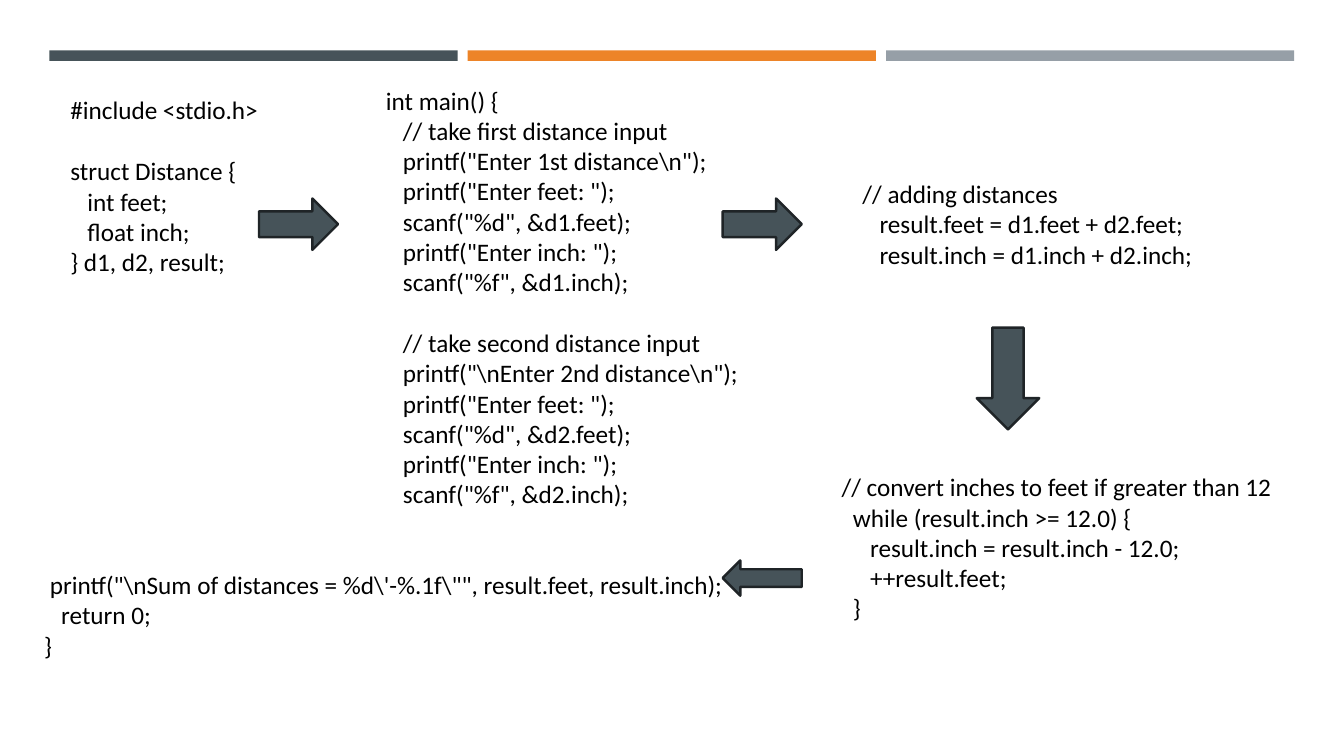
import pptx
import pptx.dml.color
import pptx.enum.shapes
import pptx.enum.text
import pptx.util

Pt = pptx.util.Pt
Color = pptx.dml.color.RGBColor
Kind = pptx.enum.shapes.MSO_SHAPE

SLATE = Color(0x46, 0x53, 0x59)
ORANGE = Color(0xED, 0x84, 0x28)
GREY = Color(0x96, 0x9F, 0xA7)
EDGE = Color(0x1F, 0x24, 0x27)
BLACK = Color(0, 0, 0)

STEP = 12.2
GAP = 22

STRUCT = [
    [(0, "#include <stdio.h>")],
    [(0, "struct Distance {"), (1, "int feet;"), (1, "float inch;"),
     (0, "} d1, d2, result;")],
]
ADDING = [[
    (0, "// adding distances"),
    (1, "result.feet = d1.feet + d2.feet;"),
    (1, "result.inch = d1.inch + d2.inch;"),
]]
CONVERT = [[
    (0, " // convert inches to feet if greater than 12"),
    (1, "while (result.inch >= 12.0) {"),
    (2, "result.inch = result.inch - 12.0;"),
    (2, "++result.feet;"),
    (1, "}"),
]]
OUTPUT = [[
    (0, r''' printf("\nSum of distances = %d\'-%.1f\"", result.feet, result.inch);'''),
    (1, "return 0;"),
    (0, "}"),
]]


def read_lines(note, prompt, name):
    return [
        (1, f"// take {note} distance input"),
        (1, f'printf("{prompt} distance\\n");'),
        (1, 'printf("Enter feet: ");'),
        (1, f'scanf("%d", &{name}.feet);'),
        (1, 'printf("Enter inch: ");'),
        (1, f'scanf("%f", &{name}.inch);'),
    ]


def add_solid(slide, kind, box, fill, edge=None):
    shape = slide.shapes.add_shape(kind, *map(Pt, box))
    shape.shadow.inherit = False
    shape.fill.solid()
    shape.fill.fore_color.rgb = fill
    if edge is None:
        shape.line.fill.background()
    else:
        shape.line.color.rgb = edge
        shape.line.width = Pt(1.75)


def add_code(slide, box, blocks):
    frame = slide.shapes.add_textbox(*map(Pt, box)).text_frame
    frame.word_wrap = True
    frame.auto_size = pptx.enum.text.MSO_AUTO_SIZE.SHAPE_TO_FIT_TEXT
    para = frame.paragraphs[0]
    for index, block in enumerate(blocks):
        for row, (depth, text) in enumerate(block):
            if index or row:
                para = frame.add_paragraph()
            para.text = text
            para.font.name = "Calibri"
            para.font.size = Pt(18)
            para.font.color.rgb = BLACK
            if index and row == 0:
                para.space_before = Pt(GAP)
            if depth:
                props = para._p.get_or_add_pPr()
                props.set("marL", str(Pt(STEP * depth)))
                props.set("indent", "0")


def main():
    deck = pptx.Presentation()
    deck.slide_width = Pt(960)
    deck.slide_height = Pt(540)
    slide = deck.slides.add_slide(deck.slide_layouts[6])

    for index, color in enumerate((SLATE, ORANGE, GREY)):
        box = (35.3 + 298.8 * index, 36, 291.6, 7.5)
        add_solid(slide, Kind.RECTANGLE, box, color)

    first = [(0, "int main() {")] + read_lines("first", "Enter 1st", "d1")
    second = read_lines("second", r"\nEnter 2nd", "d2")
    add_code(slide, (43.2, 64, 209, 138), STRUCT)
    add_code(slide, (268.6, 57.2, 304, 312), [first, second])
    add_code(slide, (609, 124, 285, 73), ADDING)
    add_code(slide, (590, 333.4, 325.4, 117), CONVERT)
    add_code(slide, (24.5, 403.2, 509, 73), OUTPUT)

    for kind, box in (
        (Kind.RIGHT_ARROW, (185, 141.8, 56.5, 36.7)),
        (Kind.RIGHT_ARROW, (516.2, 141.8, 56.5, 36.7)),
        (Kind.DOWN_ARROW, (697.7, 234, 44.6, 72.7)),
        (Kind.LEFT_ARROW, (516.2, 400.3, 56.5, 25.2)),
    ):
        add_solid(slide, kind, box, SLATE, EDGE)

    deck.save("out.pptx")


if __name__ == "__main__":
    main()
